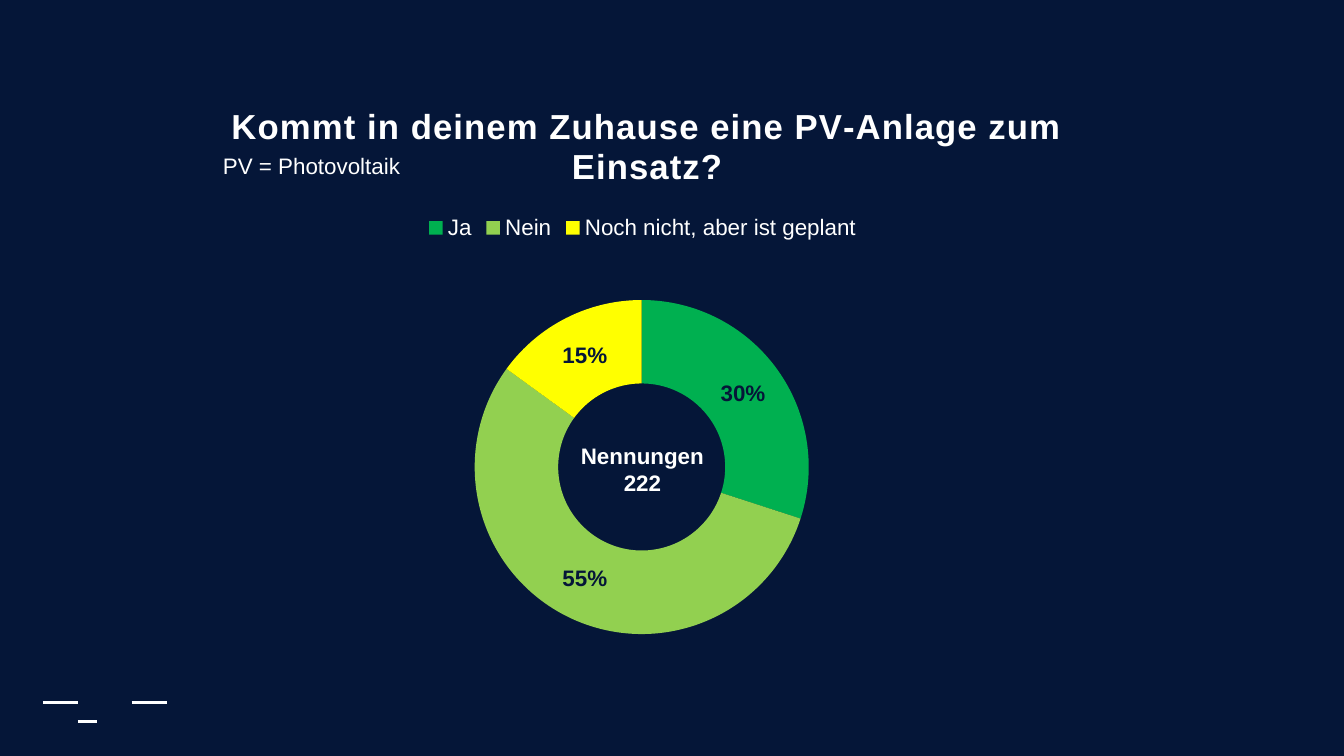
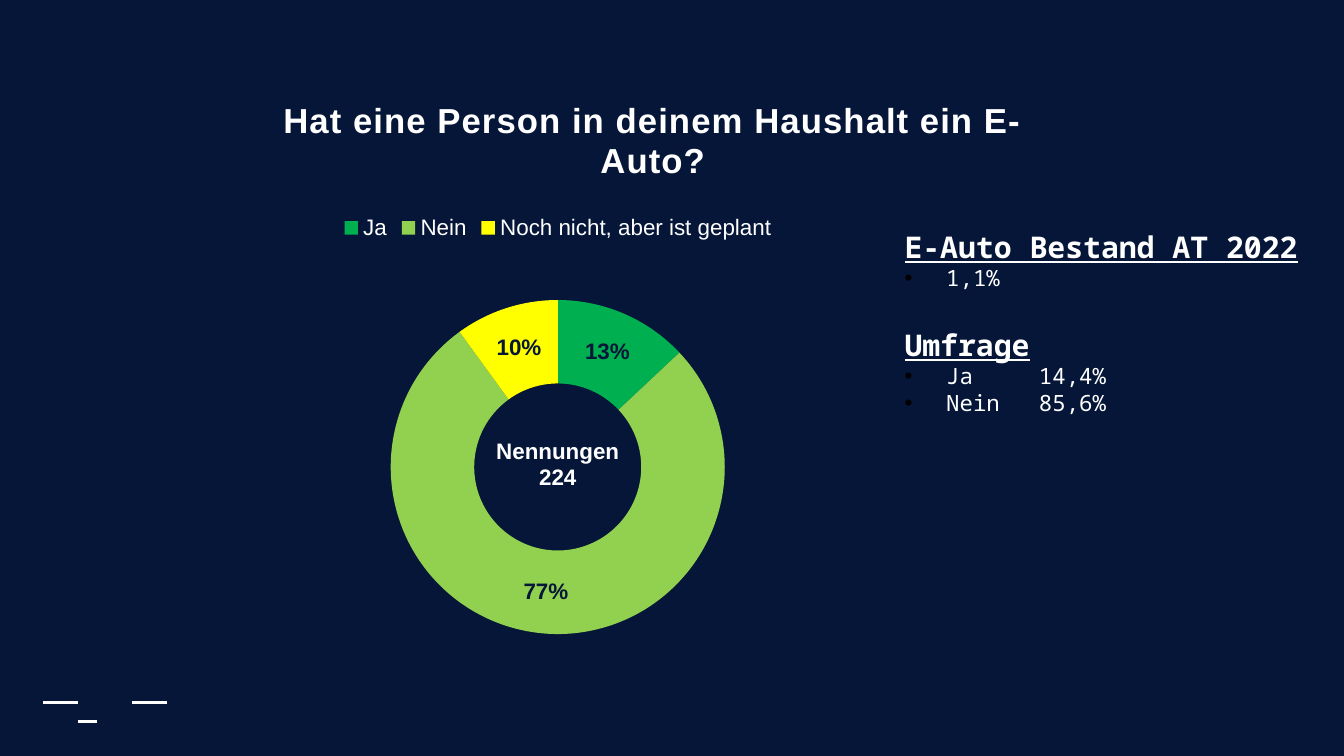
from lxml import etree
from pptx import Presentation
from pptx import util as u
from pptx.chart.data import CategoryChartData
from pptx.dml.color import RGBColor
from pptx.enum import chart as ch, shapes, text
from pptx.oxml import parse_xml
from pptx.oxml.ns import nsdecls, qn

NAVY, WHITE = "051638", "FFFFFF"
COLORS = ["00B050", "92D050", "FFFF00"]
CATS = ["Ja", "Nein", "Noch nicht, aber ist geplant"]


def style(font, size, color=WHITE, bold=False, name="Arial"):
    font.size, font.bold, font.name = u.Pt(size), bold, name
    font.color.rgb = RGBColor.from_string(color)


def place(el, **pos):
    for old in el.findall(qn("c:layout")):
        el.remove(old)
    target = '<c:layoutTarget val="inner"/>' if "w" in pos else ""
    modes = '<c:xMode val="edge"/><c:yMode val="edge"/>'
    sizes = "".join(f'<c:{k} val="{v}"/>' for k, v in pos.items())
    layout = parse_xml(f'<c:layout {nsdecls("c")}><c:manualLayout>{target}{modes}{sizes}'
                       '</c:manualLayout></c:layout>')
    overlay = el.find(qn("c:overlay"))
    if overlay is None:
        el.insert(0, layout)
    else:
        overlay.addprevious(layout)


prs = Presentation()
prs.slide_width = u.Inches(10)
prs.slide_height = prs.slide_width * 9 // 16
master = prs.slide_master
master.background.fill.solid()
master.background.fill.fore_color.rgb = RGBColor.from_string(NAVY)

slides = [
    dict(layout=6, title="Kommt in deinem Zuhause eine PV-Anlage zum Einsatz?",
         left=0.47, width=8.61, vals=[30, 55, 15], title_at=(0.14, 0.03), legend_x=0.31,
         notes=[("PV = Photovoltaik", 1.56, 1.08, 0.3, False),
                ("Nennungen\n222", 3.92, 3.24, 0.5, True)]),
    dict(layout=1, title="Hat eine Person in deinem Haushalt ein E-Auto?",
         left=0.42, width=7.46, vals=[13, 77, 10], title_at=(0.22, 0.02), legend_x=0.28,
         notes=[("Nennungen\n224", 3.29, 3.2, 0.5, True)]),
]

for d in slides:
    s = prs.slides.add_slide(prs.slide_layouts[d["layout"]])
    data = CategoryChartData()
    data.categories = CATS
    data.add_series("Series 1", d["vals"])
    chart = s.shapes.add_chart(ch.XL_CHART_TYPE.DOUGHNUT, u.Inches(d["left"]), u.Inches(0.59),
                               u.Inches(d["width"]), u.Inches(4.44), data).chart
    style(chart.font, 10)

    chart.has_title = True
    p = chart.chart_title.text_frame.paragraphs[0]
    r = p.add_run()
    r.text = d["title"]
    style(r.font, 18.6, bold=True)
    r.font._element.set("spc", "50")
    x, y = d["title_at"]
    place(chart.chart_title._element, x=x, y=y)

    chart.has_legend = True
    legend = chart.legend
    legend.position = ch.XL_LEGEND_POSITION.TOP
    legend.include_in_layout = False
    style(legend.font, 12)
    place(legend._element, x=d["legend_x"], y=0.22)

    plot = chart.plots[0]
    plot.vary_by_categories = True
    place(plot._element.getparent(), x=0.31, y=0.37, w=0.38, h=0.56)
    for i, color in enumerate(COLORS):
        fmt = plot.series[0].points[i].format
        fmt.fill.solid()
        fmt.fill.fore_color.rgb = RGBColor.from_string(color)
        fmt.line.fill.background()
    labels = plot.series[0].data_labels
    labels.show_percentage, labels.show_value = True, False
    labels.number_format, labels.number_format_is_linked = "0%", False
    style(labels.font, 12, NAVY, True)

    for note, left, top, height, centred in d["notes"]:
        tf = s.shapes.add_textbox(u.Inches(left), u.Inches(top), u.Inches(1.72),
                                  u.Inches(height)).text_frame
        tf.word_wrap = True
        tf.auto_size = text.MSO_AUTO_SIZE.SHAPE_TO_FIT_TEXT
        tf.text = note
        for p in tf.paragraphs:
            style(p.font, 12, bold=centred)
            if centred:
                p.alignment = text.PP_ALIGN.CENTER

title, body = s.placeholders[0], s.placeholders[1]
title._element.getparent().remove(title._element)
body.left, body.top = u.Inches(6.63), u.Inches(1.65)
body.width, body.height = u.Inches(3.21), u.Inches(1.51)
s.shapes._spTree.append(body._element)
tf = body.text_frame
tf.word_wrap = True
tf.auto_size = text.MSO_AUTO_SIZE.SHAPE_TO_FIT_TEXT
tf.text = "E-Auto Bestand AT 2022\n1,1%\nUmfrage\nJa\t14,4%\nNein\t85,6%"
for i, p in enumerate(tf.paragraphs):
    heading = i in (0, 2)
    style(p.font, 16 if heading else 12, bold=heading, name="Noto Sans Mono")
    p.font.underline = heading
    p.space_before = u.Pt(19 if i == 2 else 0)
    pPr = p._p.get_or_add_pPr()
    indent = 0 if heading else u.Inches(0.31)
    pPr.set("marL", str(indent))
    pPr.set("indent", str(-indent))
    pPr.set("defTabSz", str(u.Inches(1)))
    bullets = ["<a:buNone {}/>"] if heading else [
        '<a:buClr {}><a:srgbClr val="000000"/></a:buClr>',
        '<a:buFont {} typeface="Arial"/>', '<a:buChar {} char="•"/>']
    for b in bullets:
        pPr.find(qn("a:defRPr")).addprevious(parse_xml(b.format(nsdecls("a"))))

for i, (x1, x2, y) in enumerate([(0.32, 0.58, 5.23), (0.98, 1.24, 5.23), (0.58, 0.72, 5.37)]):
    c = s.shapes.add_connector(shapes.MSO_CONNECTOR.STRAIGHT, u.Inches(x1), u.Inches(y),
                               u.Inches(x2), u.Inches(y))
    c.line.color.rgb = RGBColor.from_string(WHITE)
    c.line.width = u.Pt(1.5)
    etree.SubElement(c._element.spPr, qn("a:effectLst"))
    c._element.nvCxnSpPr.cNvPr.set("id", str(20 + i))
    master.shapes._spTree.append(c._element)

prs.save("out.pptx")
